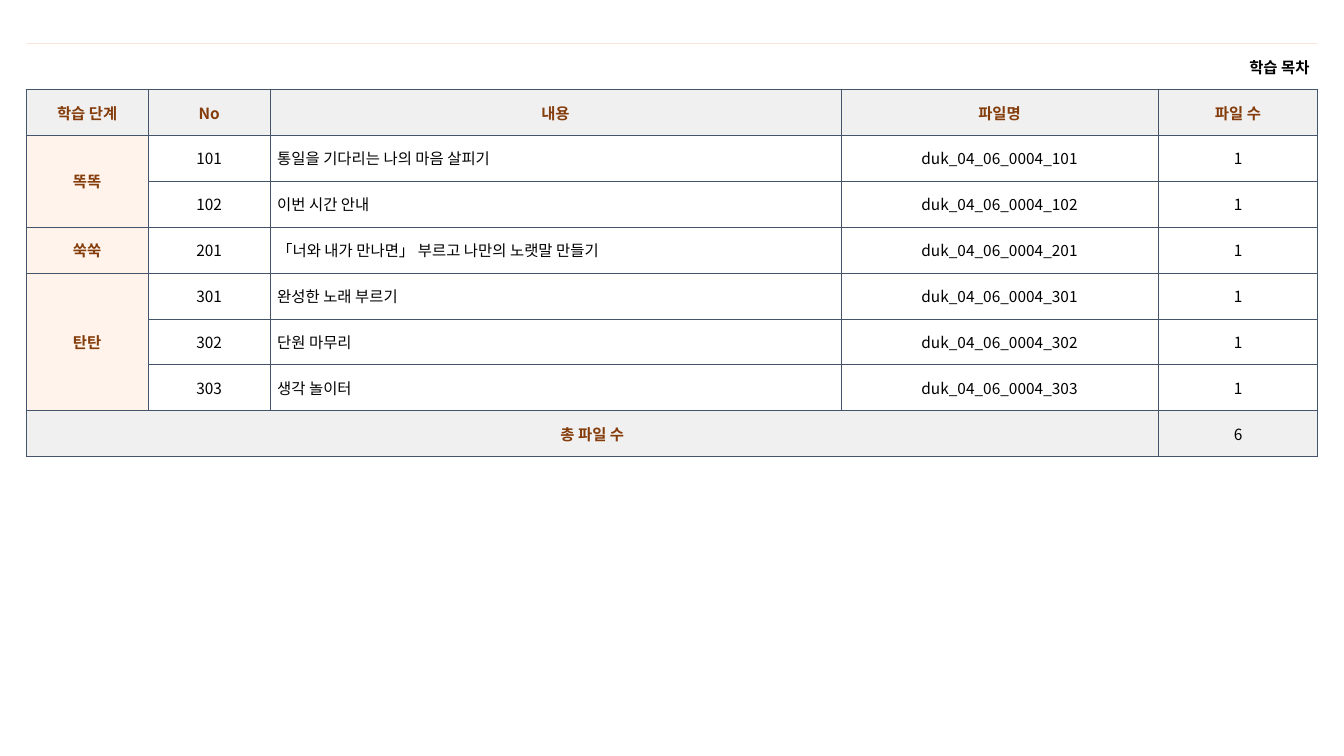
from lxml import etree
from pptx import Presentation
from pptx import util as u
from pptx.dml.color import RGBColor
from pptx.enum import text
from pptx.oxml import ns

FONT = "Noto Sans CJK KR"
BLACK, BROWN, NAVY, PEACH = "000000", "843C0B", "44546A", "FBE5D6"
GRAY, CREAM, WHITE = "F1F0F0", "FFF3EB", "FFFFFF"
LEFT, MID, RIGHT = text.PP_ALIGN.LEFT, text.PP_ALIGN.CENTER, text.PP_ALIGN.RIGHT

HEADS = ["학습 단계", "No", "내용", "파일명", "파일 수"]
STAGES = [
    ("똑똑", [(101, "통일을 기다리는 나의 마음 살피기"), (102, "이번 시간 안내")]),
    ("쑥쑥", [(201, "「너와 내가 만나면」 부르고 나만의 노랫말 만들기")]),
    ("탄탄", [(301, "완성한 노래 부르기"), (302, "단원 마무리"), (303, "생각 놀이터")]),
]
WIDTHS = [1.21, 1.21, 5.66, 3.15, 1.58]


def color(code):
    return RGBColor.from_string(code)


class Page:
    def __init__(self, slide):
        self.slide = slide

    def table(self, left, top, high, rows, widths):
        frame = self.slide.shapes.add_table(
            rows, len(widths), u.Inches(left), u.Inches(top),
            u.Inches(sum(widths)), u.Inches(high))
        grid = frame.table
        grid.first_row = grid.horz_banding = False
        for col, wide in zip(grid.columns, widths):
            col.width = u.Inches(wide)
        for row in grid.rows:
            row.height = u.Inches(high / rows)
        return grid

    def edge(self, cell, side, code, wide=0.5):
        """Draw one cell border, or clear it when code is None."""
        line = etree.SubElement(cell._tc.get_or_add_tcPr(), ns.qn("a:ln" + side))
        if code is None:
            etree.SubElement(line, ns.qn("a:noFill"))
            return
        line.set("w", str(u.Pt(wide)))
        fill = etree.SubElement(line, ns.qn("a:solidFill"))
        etree.SubElement(fill, ns.qn("a:srgbClr"), val=code)

    def paint(self, cell, code):
        for side in "LRTB":
            self.edge(cell, side, NAVY)
        cell.fill.solid()
        cell.fill.fore_color.rgb = color(code)

    def label(self, cell, words, ink=BLACK, bold=False, align=MID, pad=0.07):
        cell.vertical_anchor = text.MSO_ANCHOR.MIDDLE
        cell.margin_left = cell.margin_right = u.Inches(pad)
        cell.margin_top = cell.margin_bottom = u.Inches(0.05)
        para = cell.text_frame.paragraphs[0]
        para.text = words
        para.alignment = align
        font = para.font
        font.name, font.size, font.bold = FONT, u.Pt(11), bold
        font.color.rgb = color(ink)
        etree.SubElement(font._element, ns.qn("a:ea"), typeface=FONT)


def main():
    deck = Presentation()
    deck.slide_width, deck.slide_height = u.Inches(13.33), u.Inches(7.5)
    page = Page(deck.slides.add_slide(deck.slide_layouts[6]))

    count = sum(len(items) for _, items in STAGES)
    last = count + 2
    grid = page.table(0.26, 0.43, 4.1, last + 1, WIDTHS)

    # Title row
    for col in range(len(WIDTHS)):
        cell = grid.cell(0, col)
        page.edge(cell, "L", None)
        page.edge(cell, "R", None)
        page.edge(cell, "T", PEACH, 0.25)
        page.edge(cell, "B", NAVY)
        cell.fill.background()
    grid.cell(0, 0).merge(grid.cell(0, 4))
    page.label(grid.cell(0, 0), "학습 목차", bold=True, align=RIGHT, pad=0.08)

    # Borders and fills
    for row in range(1, last + 1):
        for col in range(len(WIDTHS)):
            body = CREAM if col == 0 else WHITE
            page.paint(grid.cell(row, col), GRAY if row in (1, last) else body)

    # Headings
    for col, head in enumerate(HEADS):
        page.label(grid.cell(1, col), head, BROWN, True)

    # Learning stages
    row = 2
    for stage, items in STAGES:
        first = grid.cell(row, 0)
        if len(items) > 1:
            first.merge(grid.cell(row + len(items) - 1, 0))
        page.label(first, stage, BROWN, True)
        for num, topic in items:
            page.label(grid.cell(row, 1), str(num))
            page.label(grid.cell(row, 2), topic, align=LEFT)
            page.label(grid.cell(row, 3), f"duk_04_06_0004_{num}")
            page.label(grid.cell(row, 4), "1")
            row += 1

    # Total row
    grid.cell(last, 0).merge(grid.cell(last, 3))
    page.label(grid.cell(last, 0), "총 파일 수", BROWN, True)
    page.label(grid.cell(last, 4), str(count))

    deck.save("out.pptx")


if __name__ == "__main__":
    main()
